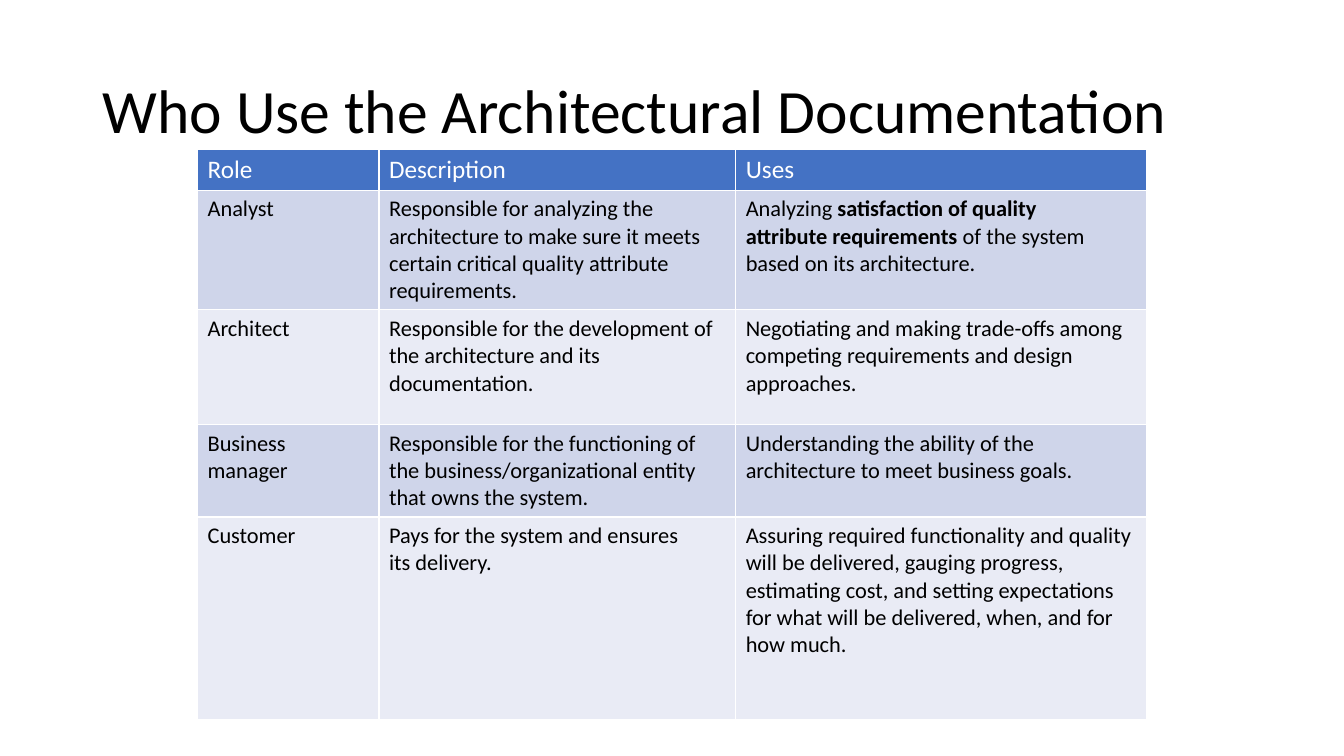
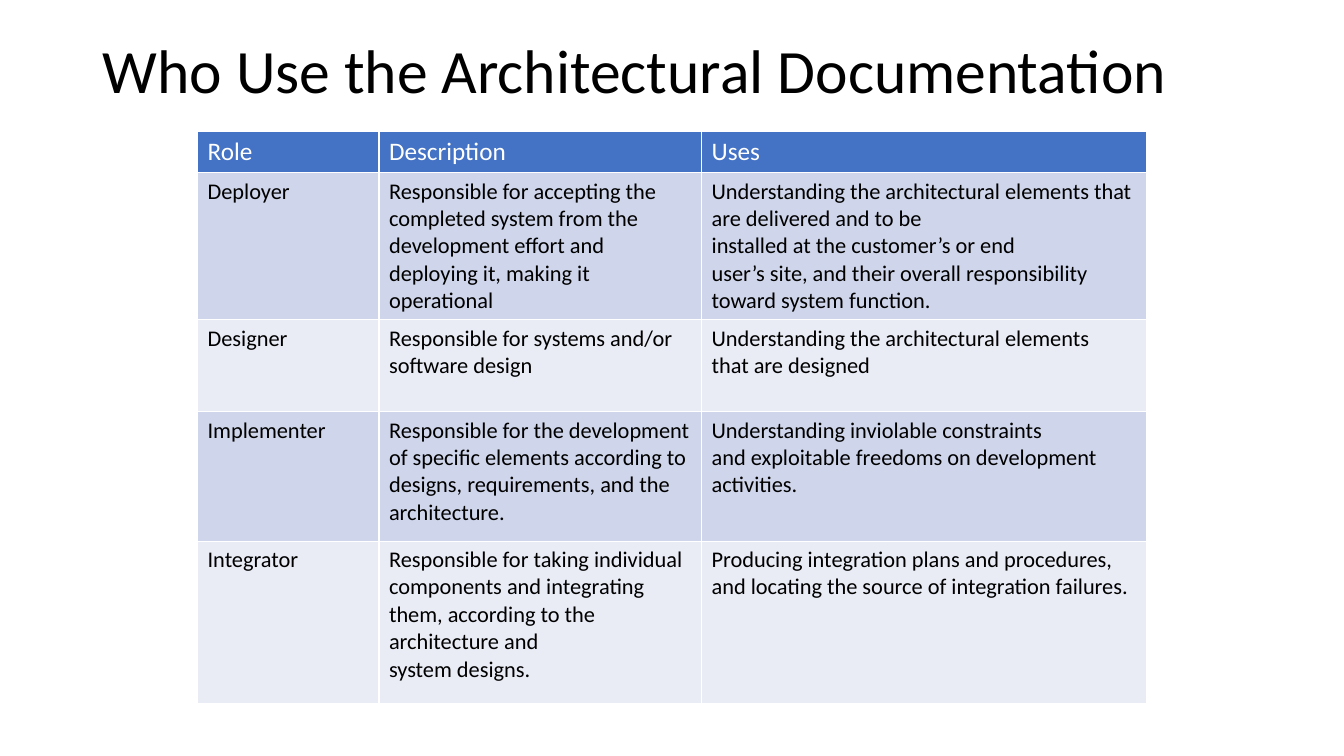
from lxml import etree
from pptx import Presentation
from pptx.dml.color import RGBColor
from pptx.enum import text
from pptx.oxml.ns import qn
from pptx.util import Pt

FONT = "Calibri"
BLACK, WHITE, BLUE = "000000", "FFFFFF", "4472C4"
BANDS = ["CFD5EA", "E9EBF5"]
TITLE = "Who Use the Architectural Documentation"
HEADER = ["Role", "Description", "Uses"]
TABLE_LEFT = 141.1
HEADER_HEIGHT = 29.2

SLIDES = [
    {
        "title_top": 28.8,
        "table_top": 106.7,
        "columns": [129.6, 254.8, 293.8],
        "heights": [85.4, 82, 65.8, 144.6],
        "rows": [
            ["Analyst",
             "Responsible for analyzing the\n"
             "architecture to make sure it meets certain critical quality attribute requirements.",
             "Analyzing **satisfaction of quality**\n"
             "**attribute requirements** of the system based on its architecture."],
            ["Architect",
             "Responsible for the development of the architecture and its documentation.",
             "Negotiating and making trade-offs among competing requirements and design approaches."],
            ["Business\nmanager",
             "Responsible for the functioning of\nthe business/organizational entity\nthat owns the system.",
             "Understanding the ability of the\narchitecture to meet business goals."],
            ["Customer",
             "Pays for the system and ensures\nits delivery.",
             "Assuring required functionality and quality will be delivered, gauging progress, "
             "estimating cost, and setting expectations for what will be delivered, when, and for how much."],
        ],
    },
    {
        "title_top": 0,
        "table_top": 94.2,
        "columns": [129.6, 230.4, 318.2],
        "heights": [105, 65.6, 92.6, 116],
        "rows": [
            ["Deployer",
             "Responsible for accepting the\n"
             "completed system from the development effort and deploying it, making it operational",
             "Understanding the architectural elements that are delivered and to be\n"
             "installed at the customer’s or end\n"
             "user’s site, and their overall responsibility toward system function."],
            ["Designer",
             "Responsible for systems and/or\nsoftware design",
             "Understanding the architectural elements\nthat are designed"],
            ["Implementer",
             "Responsible for the development of specific elements according to\n"
             "designs, requirements, and the\narchitecture.",
             "Understanding inviolable constraints\nand exploitable freedoms on development activities."],
            ["Integrator",
             "Responsible for taking individual\n"
             "components and integrating them, according to the architecture and\nsystem designs.",
             "Producing integration plans and procedures, and locating the source of integration failures."],
        ],
    },
]


def color(value):
    return RGBColor.from_string(value)


def style(font, size, value, bold=False):
    font.name = FONT
    font.size = Pt(size)
    font.bold = bold
    font.color.rgb = color(value)


def add_borders(cell):
    properties = cell._tc.get_or_add_tcPr()
    for side in ("a:lnL", "a:lnR", "a:lnT", "a:lnB"):
        line = etree.SubElement(properties, qn(side), w=str(Pt(1)))
        fill = etree.SubElement(line, qn("a:solidFill"))
        etree.SubElement(fill, qn("a:srgbClr"), val=WHITE)


def fill_cell(cell, content, size, ink, background):
    add_borders(cell)
    cell.fill.solid()
    cell.fill.fore_color.rgb = color(background)
    lines = content.split("\n")
    cell.text_frame.text = "\n".join([""] * len(lines))
    for para, line in zip(cell.text_frame.paragraphs, lines):
        for index, part in enumerate(line.split("**")):
            if part:
                span = para.add_run()
                span.text = part
                style(span.font, size, ink, index % 2 == 1)


def add_title(page, top):
    box = page.shapes.title
    box.left, box.top, box.width, box.height = Pt(66.2), Pt(top), Pt(828), Pt(104.4)
    frame = box.text_frame
    frame.text = TITLE
    frame.word_wrap = True
    frame.auto_size = text.MSO_AUTO_SIZE.NONE
    frame.vertical_anchor = text.MSO_ANCHOR.MIDDLE
    para = frame.paragraphs[0]
    para.alignment = text.PP_ALIGN.LEFT
    para.line_spacing = 0.9
    style(para.runs[0].font, 44, BLACK)


def add_roles(page, content):
    rows = [HEADER] + content["rows"]
    heights = [HEADER_HEIGHT] + content["heights"]
    columns = content["columns"]
    table = page.shapes.add_table(
        len(rows), len(columns), Pt(TABLE_LEFT), Pt(content["table_top"]),
        Pt(sum(columns)), Pt(sum(heights))).table
    for column, width in zip(table.columns, columns):
        column.width = Pt(width)
    for index, (row, height, entries) in enumerate(zip(table.rows, heights, rows)):
        row.height = Pt(height)
        look = (16, BLACK, BANDS[(index - 1) % 2]) if index else (18, WHITE, BLUE)
        for cell, entry in zip(row.cells, entries):
            fill_cell(cell, entry, *look)


def main():
    deck = Presentation()
    deck.slide_width, deck.slide_height = Pt(960), Pt(540)
    for content in SLIDES:
        page = deck.slides.add_slide(deck.slide_layouts.get_by_name("Title Only"))
        add_title(page, content["title_top"])
        add_roles(page, content)
    deck.save("out.pptx")


if __name__ == "__main__":
    main()
